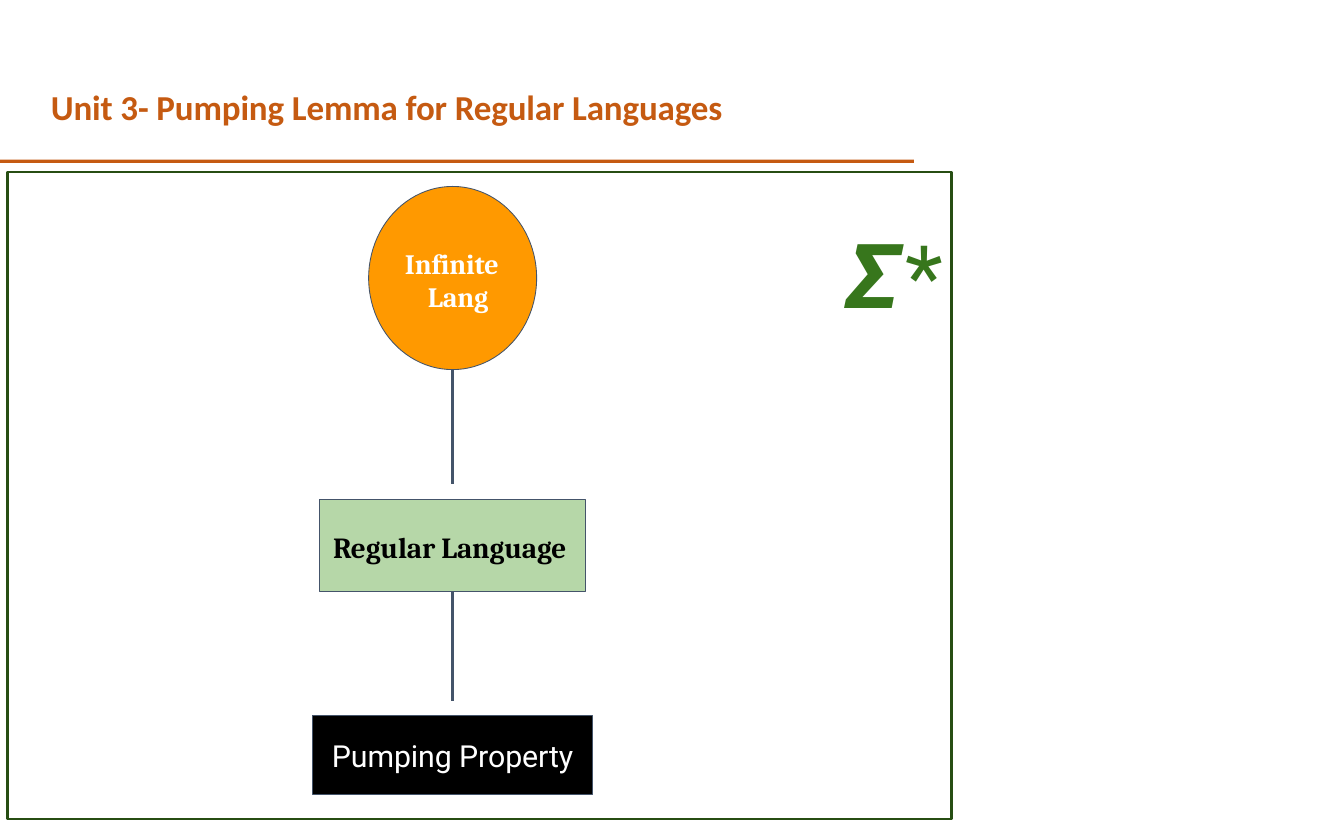
from lxml.etree import SubElement
from pptx import Presentation
from pptx.dml.color import RGBColor as Color
from pptx.enum.shapes import MSO_CONNECTOR as Connector, MSO_SHAPE as Preset
from pptx.enum.text import MSO_ANCHOR as Anchor, PP_ALIGN as Align
from pptx.oxml.ns import qn
from pptx.util import Pt

AXIS = 388
SLATE = "44546A"
RUST = "C55A11"


def color(value):
    """Turn a hex string into a colour."""
    return Color.from_string(value)


def set_frame(shape, insets=(0, 0, 0, 0), anchor=Anchor.MIDDLE):
    """Set wrapping, insets and anchor of a shape's text."""
    frame = shape.text_frame
    frame.word_wrap = True
    frame.vertical_anchor = anchor
    frame.margin_left, frame.margin_top, frame.margin_right, frame.margin_bottom = map(Pt, insets)


def add_text(para, text, *, font, size, fill, bold=False, spacing=0):
    """Add a formatted span of text to a paragraph."""
    span = para.add_run()
    span.text = text
    span.font.name, span.font.size, span.font.bold = font, Pt(size), bold
    span.font.color.rgb = color(fill)
    span._r.get_or_add_rPr().set("spc", str(round(spacing * 100)))


def add_box(page, left, top, width, height, anchor=Anchor.MIDDLE):
    """Add a text box and return its first paragraph."""
    box = page.shapes.add_textbox(Pt(left), Pt(top), Pt(width), Pt(height))
    set_frame(box, anchor=anchor)
    return box.text_frame.paragraphs[0]


def add_figure(page, preset, left, top, width, height, *, fill=None, line=None, weight=0.75):
    """Add a preset shape with an optional fill and outline."""
    figure = page.shapes.add_shape(preset, Pt(left), Pt(top), Pt(width), Pt(height))
    figure.shadow.inherit = False
    if fill:
        figure.fill.solid()
        figure.fill.fore_color.rgb = color(fill)
    else:
        figure.fill.background()
    if line:
        figure.line.color.rgb = color(line)
        figure.line.width = Pt(weight)
    else:
        figure.line.fill.background()
    return figure


def add_node(page, preset, top, width, height, fill, insets=(0, 0, 0, 0)):
    """Add a diagram node centred on the axis."""
    node = add_figure(page, preset, AXIS - width / 2, top, width, height, fill=fill, line=SLATE)
    set_frame(node, insets)
    node.text_frame.paragraphs[0].alignment = Align.CENTER
    return node


def add_stem(page, node, bottom, weight):
    """Draw a line down the axis from a node's bottom and return it."""
    top = node.top + node.height
    stem = page.shapes.add_connector(Connector.STRAIGHT, Pt(AXIS), top, Pt(AXIS), Pt(bottom))
    stem.line.color.rgb = color(SLATE)
    stem.line.width = Pt(weight)
    SubElement(stem._element.spPr, qn("a:effectLst"))
    return stem


def add_heading(page):
    """Add the title and the rule below it."""
    title = add_box(page, 43.6, 66, 580, 50)
    add_text(title, "Unit 3- Pumping Lemma for Regular Languages",
             font="Calibri", size=30, fill=RUST, bold=True, spacing=-0.1)
    add_figure(page, Preset.RECTANGLE, 0, 136.8, 783.4, 2.9, fill=RUST)


def add_diagram(page):
    """Add the chain of nodes, the frame and its symbol."""
    infinite = add_node(page, Preset.OVAL, 159.8, 144, 157, "FF9900", (10, 4, 0, 0))
    para = infinite.text_frame.paragraphs[0]
    para.alignment = Align.LEFT
    para.line_spacing = Pt(28.5)
    layout = para._p.get_or_add_pPr()
    layout.set("marL", str(Pt(19.7)))
    layout.set("indent", str(Pt(-19.7)))
    add_text(para, "Infinite Lang", font="Cambria", size=24, fill="FFFFFF", bold=True, spacing=-0.1)

    regular = add_node(page, Preset.RECTANGLE, 428.4, 228.2, 78.5, "B6D7A8", (0, 2, 5, 0))
    add_text(regular.text_frame.paragraphs[0], "Regular Language",
             font="Cambria", size=25, fill="000000", bold=True, spacing=-0.1)

    pumping = add_node(page, Preset.RECTANGLE, 613.4, 239.8, 67.7, "000000")
    add_text(pumping.text_frame.paragraphs[0], "Pumping Property",
             font="Roboto", size=26, fill="FFFFFF", spacing=-0.1)

    add_stem(page, infinite, 414.7, 2.25)
    add_stem(page, regular, 601.2, 2.5).begin_connect(regular, 2)

    add_figure(page, Preset.RECTANGLE, 6.5, 147.6, 809.3, 554.4, line="274E13", weight=2.25)
    symbol = add_box(page, 723.6, 189.4, 90, 92, Anchor.TOP)
    for text, font in (("𝜮", "Noto Sans Mono"), ("*", "Roboto")):
        add_text(symbol, text, font=font, size=75, fill="37761C", spacing=-2)


def main():
    """Build and save the slide."""
    deck = Presentation()
    deck.slide_width, deck.slide_height = Pt(1152), Pt(720)
    page = deck.slides.add_slide(deck.slide_layouts[6])
    add_heading(page)
    add_diagram(page)
    deck.save("out.pptx")


if __name__ == "__main__":
    main()
